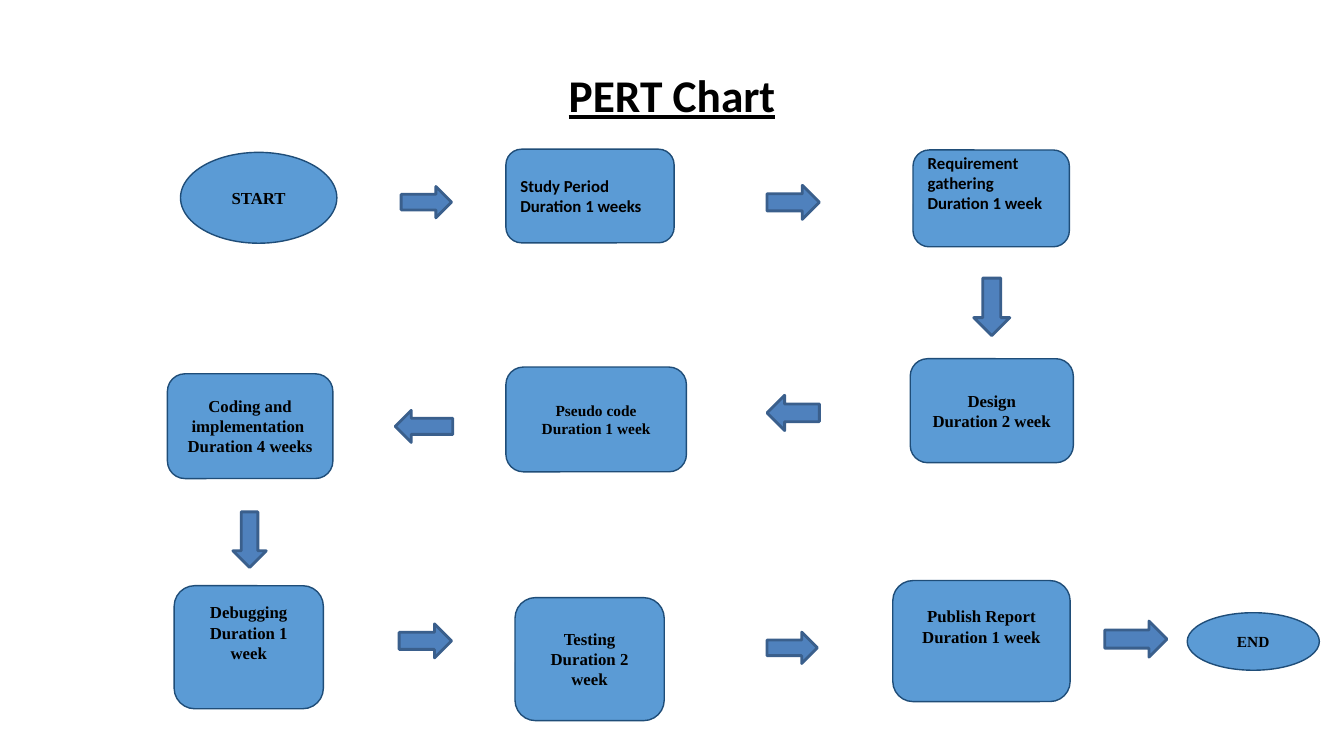
from dataclasses import dataclass

from pptx import Presentation
from pptx.dml.color import RGBColor
from pptx.enum.shapes import MSO_SHAPE
from pptx.enum.text import MSO_ANCHOR, MSO_AUTO_SIZE, PP_ALIGN
from pptx.shapes.autoshape import Shape
from pptx.slide import Slide
from pptx.text.text import TextFrame
from pptx.util import Cm, Pt

SERIF = "Times New Roman"
SANS = "Calibri"
OVAL = MSO_SHAPE.OVAL
RIGHT, LEFT, DOWN = MSO_SHAPE.RIGHT_ARROW, MSO_SHAPE.LEFT_ARROW, MSO_SHAPE.DOWN_ARROW


@dataclass
class Box:
    """Place and size in centimetres."""
    left: float
    top: float
    width: float
    height: float


@dataclass
class Step:
    box: Box
    lines: list[str]
    kind: MSO_SHAPE = MSO_SHAPE.ROUNDED_RECTANGLE
    font: str = SERIF
    size: float = 12
    align: PP_ALIGN = PP_ALIGN.CENTER
    foot: float = 0.13  # bottom inset, cm


@dataclass
class Arrow:
    kind: MSO_SHAPE
    box: Box


STEPS = [
    # Top row
    Step(Box(4.55, 3.84, 3.94, 2.29), ["START"], OVAL),
    Step(Box(12.75, 3.76, 4.24, 2.36), ["Study Period", "Duration 1 weeks"],
         font=SANS, align=PP_ALIGN.LEFT),
    Step(Box(23.01, 3.78, 3.94, 2.44), ["Requirement gathering", "Duration 1 week"],
         font=SANS, align=PP_ALIGN.LEFT, foot=0.9),
    # Middle row
    Step(Box(22.94, 9.04, 4.11, 2.62), ["Design", "Duration 2 week"]),
    Step(Box(12.75, 9.25, 4.55, 2.64), ["Pseudo code", "Duration 1 week"], size=11),
    Step(Box(4.22, 9.42, 4.17, 2.64), ["Coding and implementation ", "Duration 4 weeks"]),
    # Bottom row
    Step(Box(4.39, 14.76, 3.76, 3.1), ["Debugging", "Duration 1 week"], foot=0.87),
    Step(Box(12.98, 15.06, 3.76, 3.1), ["Testing", "Duration 2 week"]),
    Step(Box(22.5, 14.63, 4.47, 3.05), ["Publish Report", "Duration 1 week"], foot=0.87),
    Step(Box(29.92, 15.44, 3.33, 1.45), ["END"], OVAL, size=11),
]

ARROWS = [
    Arrow(RIGHT, Box(10.11, 4.7, 1.27, 0.79)),
    Arrow(RIGHT, Box(19.33, 4.67, 1.32, 0.86)),
    Arrow(DOWN, Box(24.54, 7.01, 0.91, 1.45)),
    Arrow(LEFT, Box(19.33, 9.96, 1.32, 0.89)),
    Arrow(LEFT, Box(9.96, 10.34, 1.45, 0.81)),
    Arrow(DOWN, Box(5.87, 12.9, 0.84, 1.4)),
    Arrow(RIGHT, Box(10.06, 15.72, 1.32, 0.86)),
    Arrow(RIGHT, Box(19.33, 15.93, 1.27, 0.79)),
    Arrow(RIGHT, Box(27.84, 15.65, 1.57, 0.91)),
]


def color(code: str) -> RGBColor:
    return RGBColor.from_string(code)


def put(slide: Slide, kind: MSO_SHAPE, box: Box, fill: str, line: str, width: float) -> Shape:
    shape = slide.shapes.add_shape(
        kind, Cm(box.left), Cm(box.top), Cm(box.width), Cm(box.height))
    shape.shadow.inherit = False
    shape.fill.solid()
    shape.fill.fore_color.rgb = color(fill)
    shape.line.color.rgb = color(line)
    shape.line.width = Pt(width)
    return shape


def write(frame: TextFrame, lines: list[str], font: str, size: float,
          align: PP_ALIGN, under: bool = False) -> None:
    frame.word_wrap = True
    frame.auto_size = MSO_AUTO_SIZE.NONE
    frame.vertical_anchor = MSO_ANCHOR.MIDDLE
    frame.text = "\n".join(lines)
    for para in frame.paragraphs:
        para.alignment = align
        para.font.name = font
        para.font.size = Pt(size)
        para.font.bold = True
        para.font.underline = under
        para.font.color.rgb = color("000000")


def draw_step(slide: Slide, step: Step) -> None:
    shape = put(slide, step.kind, step.box, "5B9BD5", "1F4D78", 1)
    shape.text_frame.margin_bottom = Cm(step.foot)
    write(shape.text_frame, step.lines, step.font, step.size, step.align)


def draw_title(slide: Slide) -> None:
    title = slide.shapes.title
    title.left, title.top = Cm(0), Cm(1.6)
    title.width, title.height = Cm(33.87), Cm(1.57)
    write(title.text_frame, ["PERT Chart"], SANS, 32.4, PP_ALIGN.CENTER, under=True)


def main() -> None:
    deck = Presentation()
    deck.slide_width, deck.slide_height = Cm(33.87), Cm(19.05)
    slide = deck.slides.add_slide(deck.slide_layouts[5])
    draw_title(slide)
    for step in STEPS:
        draw_step(slide, step)
    for arrow in ARROWS:
        put(slide, arrow.kind, arrow.box, "4F81BD", "3A5F8C", 2)
    deck.save("out.pptx")


if __name__ == "__main__":
    main()
